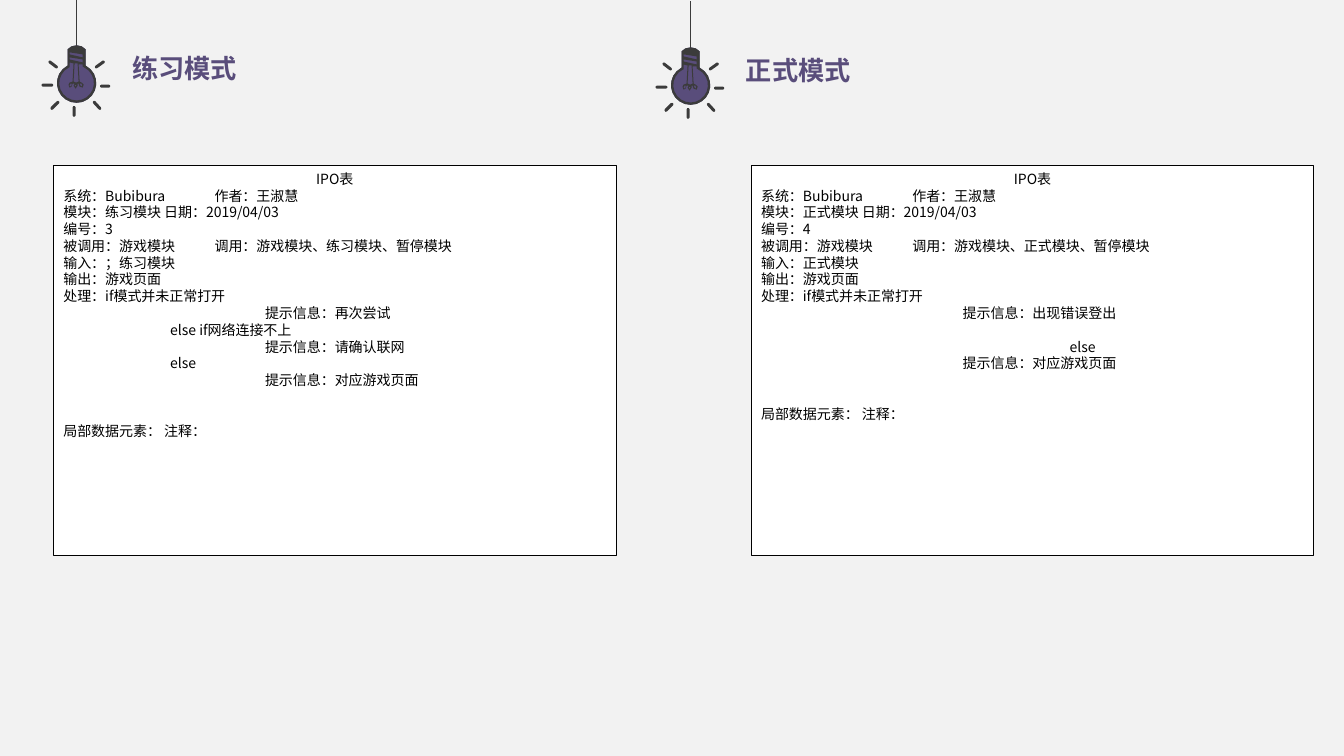
import dataclasses
import math

import lxml.etree
import pptx
import pptx.dml.color
import pptx.enum.shapes
import pptx.enum.text
import pptx.oxml.ns
import pptx.util

PX = 9144  # 100 px to the inch
FINE = 10  # outline steps per px
ALIGN = pptx.enum.text.PP_ALIGN


@dataclasses.dataclass(frozen=True)
class Theme:
    back: str = "F2F2F2"
    glass: str = "594D7B"
    dark: str = "3B3B3B"
    paper: str = "FFFFFF"
    ink: str = "000000"
    head: str = "Arial"
    body: str = "Noto Sans CJK SC"
    head_size: float = 18.7
    body_size: int = 10
    lead: int = 12


THEME = Theme()


@dataclasses.dataclass(frozen=True)
class Row:
    text: str
    indent: int = 0
    tab: int = 0
    skip: int = 0  # lines left free above
    align: ALIGN = ALIGN.LEFT


def color(code):
    return pptx.dml.color.RGBColor.from_string(code)


def paint(shape, code):
    shape.shadow.inherit = False
    shape.fill.solid()
    shape.fill.fore_color.rgb = color(code)


def style(para, name, size, code, bold=False):
    font = para.font
    font.name, font.size, font.bold = name, pptx.util.Pt(size), bold
    font.color.rgb = color(code)


def arc(x, y, r, start, stop, steps):
    """Points along a circle, in degrees clockwise from the right."""
    turns = [math.radians(start + (stop - start) * i / steps) for i in range(steps + 1)]
    return [(x + r * math.cos(t), y + r * math.sin(t)) for t in turns]


def ray(x1, y1, x2, y2):
    """Outline of a stroke with round ends."""
    turn = math.degrees(math.atan2(y2 - y1, x2 - x1))
    return (arc(x2, y2, 1.5, turn - 90, turn + 90, 3)
            + arc(x1, y1, 1.5, turn + 90, turn + 270, 3))


def outline(shapes, loops, code, dx, dy):
    """One filled shape; inner loops cut holes."""
    build = None
    for loop in loops:
        dots = [((x + dx) * FINE, (y + dy) * FINE) for x, y in loop]
        if build is None:
            build = shapes.build_freeform(*dots[0], scale=PX / FINE)
        else:
            build.move_to(*dots[0])
        build.add_line_segments(dots[1:], close=True)
    shape = build.convert_to_shape()
    paint(shape, code)
    shape.line.fill.background()


BODY = [(67, 65), (67, 49), (71, 46), (76, 45), (81, 46), (85, 49), (85, 65),
        *arc(76, 82.5, 19.5, -62, 242, 18)]
HOLES = [
    [(69, 52), (82, 54), (82, 57), (69, 54)],
    [(69, 57), (82, 59), (82, 62), (69, 59)],
    [(75.5, 82), (73, 81), (74, 63), (77, 63), (78, 81)],
    [(74, 85), (75, 84), (76, 85), (75, 86)],
    [(71, 83), (71, 85), (69.5, 86), (69, 85), (70, 83)],
    [(79, 83), (81, 83), (81.5, 85), (81, 86), (80, 85)],
    [(69, 67), (69, 62), (73, 63), (72, 81), (69, 82), (68, 84), (69, 87),
     (71, 86), (72, 83), (74, 83), (73, 85), (75, 88), (77, 85), (77, 83), (78, 83),
     (79, 86), (82, 87), (83, 84), (81, 82), (79, 81), (78, 64), (82, 64),
     (82, 66), *arc(76, 82.5, 17.2, -64, 244, 18)],
]
RAYS = [
    (100.5, 85.5, 108, 85.5), (73.5, 106.5, 73.5, 114.5), (42.5, 84.5, 51.5, 84.5),
    (49.5, 61.5, 56, 66.5), (102.5, 61.5, 95.5, 66.5), (51.5, 107.5, 57.5, 101.5),
    (99, 107.5, 93.5, 101.5),
]


def bulb(slide, dx, dy):
    shapes = slide.shapes.add_group_shape().shapes
    outline(shapes, [BODY], THEME.glass, dx, dy)
    outline(shapes, [BODY, *HOLES], THEME.dark, dx, dy)
    for ends in RAYS:
        outline(shapes, [ray(*ends)], THEME.dark, dx, dy)
    x = (76 + dx) * PX
    cord = shapes.add_connector(
        pptx.enum.shapes.MSO_CONNECTOR.STRAIGHT, x, (49 + dy) * PX, x, (dy - 1) * PX)
    cord.line.color.rgb = color(THEME.dark)
    cord.line.width = pptx.util.Pt(1)
    lxml.etree.SubElement(cord._element.spPr, pptx.oxml.ns.qn("a:effectLst"))


def title(shape, text, dx, dy):
    shape.left, shape.top = (121 + dx) * PX, (47 + dy) * PX
    shape.width, shape.height = 125 * PX, 42 * PX
    frame = shape.text_frame
    frame.text = text
    frame.word_wrap = False
    frame.auto_size = pptx.enum.text.MSO_AUTO_SIZE.SHAPE_TO_FIT_TEXT
    frame.vertical_anchor = pptx.enum.text.MSO_ANCHOR.TOP
    para = frame.paragraphs[0]
    para.alignment = ALIGN.LEFT
    style(para, THEME.head, THEME.head_size, THEME.glass, True)


def write(para, row):
    props = para._p.get_or_add_pPr()
    props.set("marL", str(row.indent * PX))
    props.set("indent", "0")
    if row.tab:
        stops = lxml.etree.SubElement(props, pptx.oxml.ns.qn("a:tabLst"))
        lxml.etree.SubElement(
            stops, pptx.oxml.ns.qn("a:tab"), pos=str(row.tab * PX), algn="l")
    para.text = row.text
    para.alignment = row.align
    para.line_spacing = pptx.util.Pt(THEME.lead)
    para.space_before = pptx.util.Pt(row.skip * THEME.lead)
    style(para, THEME.body, THEME.body_size, THEME.ink)


def panel(slide, left, rows):
    box = slide.shapes.add_shape(
        pptx.enum.shapes.MSO_SHAPE.RECTANGLE, left * PX, 164 * PX, 558 * PX, 387 * PX)
    paint(box, THEME.paper)
    box.line.color.rgb = color(THEME.ink)
    box.line.width = pptx.util.Pt(0.5)
    frame = box.text_frame
    frame.word_wrap = True
    frame.vertical_anchor = pptx.enum.text.MSO_ANCHOR.TOP
    for i, row in enumerate(rows):
        write(frame.add_paragraph() if i else frame.paragraphs[0], row)


def form(mode, code, entry, steps):
    """Rows of one IPO form around its own processing steps."""
    return [
        Row("IPO表", align=ALIGN.CENTER),
        Row("系统：Bubibura\t作者：王淑慧", tab=148),
        Row(f"模块：{mode}模块\t日期：2019/04/03", tab=153),
        Row(f"编号：{code}"),
        Row(f"被调用：游戏模块\t调用：游戏模块、{mode}模块、暂停模块", tab=177),
        Row(f"输入：{entry}"),
        Row("输出：游戏页面"),
        Row("处理：if模式并未正常打开"),
        *steps,
        Row("提示信息：对应游戏页面", 200),
        Row("局部数据元素：\t注释：", tab=153, skip=2),
    ]


def main():
    deck = pptx.Presentation()
    deck.slide_width, deck.slide_height = 1333 * PX, 750 * PX
    slide = deck.slides.add_slide(deck.slide_layouts[5])
    slide.background.fill.solid()
    slide.background.fill.fore_color.rgb = color(THEME.back)

    title(slide.shapes.title, "练习模式", 0, 0)
    bulb(slide, 0, 0)
    title(slide.shapes.add_textbox(0, 0, 0, 0), "正式模式", 609, 2)
    bulb(slide, 609, 2)

    panel(slide, 53, form("练习", 3, "；练习模块", [
        Row("提示信息：再次尝试", 200),
        Row("else if网络连接不上", 106),
        Row("提示信息：请确认联网", 200),
        Row("else", 106),
    ]))
    panel(slide, 745, form("正式", 4, "正式模块", [
        Row("提示信息：出现错误登出", 200),
        Row("else", 306, skip=1),
    ]))
    deck.save("out.pptx")


if __name__ == "__main__":
    main()
